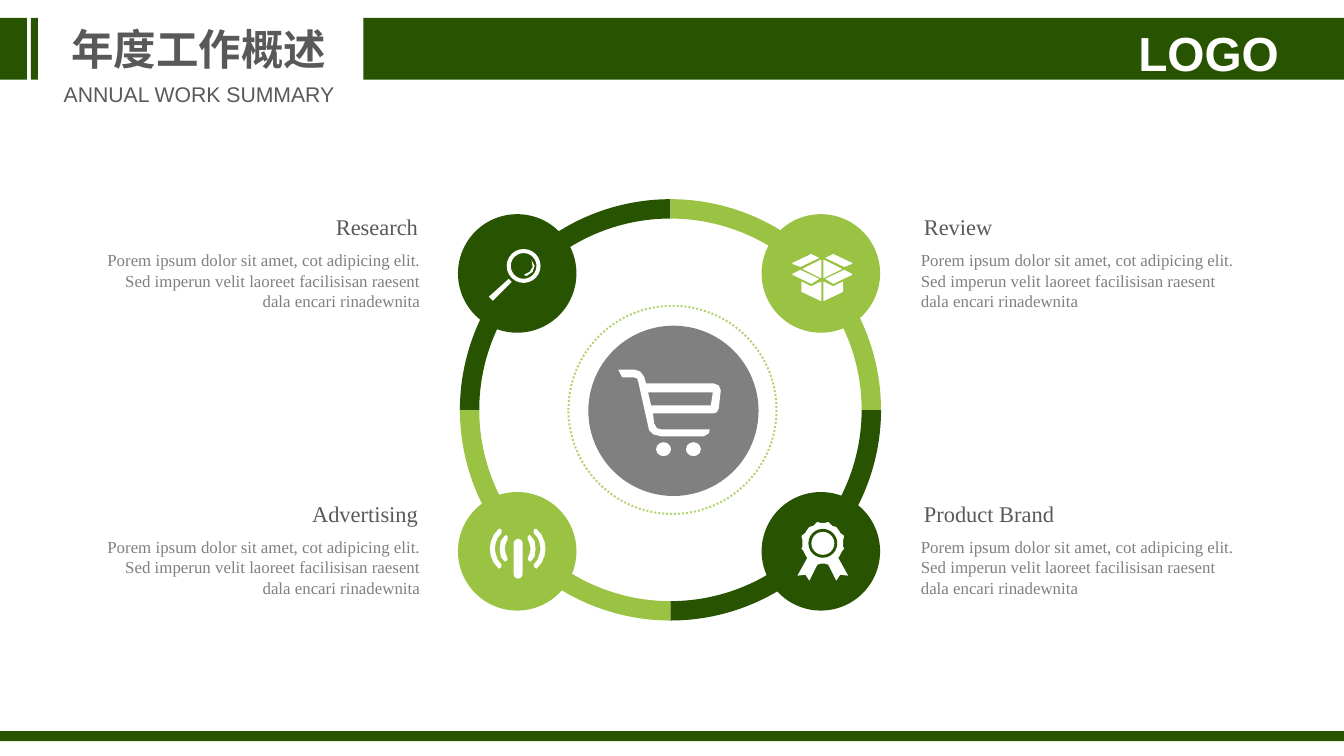
from lxml import etree
from pptx import Presentation
from pptx import util as u
from pptx.dml.color import RGBColor
from pptx.enum import dml, shapes, text

PX = 9525
SLIDE_W, SLIDE_H = 1350, 759
COLORS = {"dark": "285301", "light": "9AC343", "dots": "B3D272", "hub": "808080",
          "white": "FFFFFF", "heading": "595959", "body": "808080"}
LOREM = ("Porem ipsum dolor sit amet, cot adipicing elit. "
         "Sed imperun velit laoreet facilisisan raesent dala encari rinadewnita")
OVAL = shapes.MSO_SHAPE.OVAL
RECT = shapes.MSO_SHAPE.RECTANGLE
LEFT, CENTER, RIGHT = text.PP_ALIGN.LEFT, text.PP_ALIGN.CENTER, text.PP_ALIGN.RIGHT

CART = [
    [(0, 0), (16, 0), (22, 2), (26, 7), (28, 14), (96, 14), (101, 16), (103, 21),
     (101, 39), (99, 43), (95, 44), (35, 44), (36, 54), (39, 59), (43, 60), (92, 60),
     (91, 64), (86, 67), (43, 67), (35, 65), (31, 61), (20, 12), (19, 9), (16, 8), (4, 8)],
    [(30, 23), (95, 23), (93, 36), (33, 36)],
]
BOX_HALF = [
    [(10, 15), (28, 6), (29, 6), (29, 24), (28, 24)],
    [(19, 0), (0, 9), (0, 10), (8, 13), (27, 4)],
    [(27, 25), (8, 16), (0, 20), (0, 21), (19, 30)],
    [(9, 28), (10, 28), (18, 32), (20, 32), (28, 28), (29, 28), (29, 47), (28, 47), (9, 38)],
]
WAVE_HALF = [
    [(11, 0), (6, 6), (3, 13), (2, 20), (3, 27), (6, 34), (11, 40), (13, 39), (14, 36),
     (10, 31), (8, 25), (7, 20), (8, 14), (10, 9), (14, 4), (14, 2), (13, 0)],
    [(17, 7), (13, 12), (12, 20), (13, 28), (17, 33), (19, 32), (20, 30),
     (18, 25), (17, 20), (18, 15), (20, 10), (20, 8), (18, 6)],
]
RIBBON_HALF = [(23, 1), (20, 0), (18, 2), (16, 4), (12, 5), (9, 9), (8, 11), (4, 14), (5, 18),
               (5, 25), (4, 27), (6, 29), (9, 35), (10, 36), (0, 54), (8, 53), (12, 59),
               (20, 43), (23, 42)]
HANDLE = [(0, 18), (4, 22), (23, 3), (20, 0)]
GLINT = [(8, 0), (9, 7), (6, 12), (0, 15), (3, 16), (9, 12), (11, 6)]


def mirrored(outline, width):
    """Return the outline flipped left to right inside the width."""
    return [(width - x, y) for x, y in reversed(outline)]


def paint(shape, color):
    """Give a shape a plain fill with no line or shadow."""
    shape.shadow.inherit = False
    shape.fill.solid()
    shape.fill.fore_color.rgb = RGBColor.from_string(COLORS[color])
    shape.line.fill.background()
    return shape


def add_preset(slide, kind, box, color):
    """Add a painted preset shape in a px box."""
    return paint(slide.shapes.add_shape(kind, *(n * PX for n in box)), color)


def add_outline(slide, x, y, contours, color="white"):
    """Add one freeform made of closed contours measured from x, y."""
    builder = slide.shapes.build_freeform(*contours[0][0], scale=PX)
    builder.add_line_segments(contours[0][1:])
    for contour in contours[1:]:
        builder.move_to(*contour[0])
        builder.add_line_segments(contour[1:])
    return paint(builder.convert_to_shape(x * PX, y * PX), color)


def add_text(slide, box, words, size, color, align, font="Arial", bold=False,
             wrap=True, margins=(0, 0), anchor=text.MSO_ANCHOR.TOP):
    """Add a one-paragraph text box in a px box."""
    frame = slide.shapes.add_textbox(*(n * PX for n in box)).text_frame
    frame.word_wrap = wrap
    frame.vertical_anchor = anchor
    frame.margin_left = frame.margin_right = margins[0] * PX
    frame.margin_top = frame.margin_bottom = margins[1] * PX
    frame.text = words
    paragraph = frame.paragraphs[0]
    paragraph.alignment = align
    style = paragraph.runs[0].font
    style.name, style.size, style.bold = font, u.Pt(size), bold
    style.color.rgb = RGBColor.from_string(COLORS[color])


def add_magnifier(slide, x, y):
    """Draw the research icon in the node at x, y."""
    lens = add_preset(slide, shapes.MSO_SHAPE.DONUT, (x + 49, y + 35, 34, 34), "white")
    lens.adjustments[0] = 0.12
    add_outline(slide, x + 31, y + 65, [HANDLE])
    add_outline(slide, x + 66, y + 46, [GLINT])


def add_open_box(slide, x, y):
    """Draw the review icon in the node at x, y."""
    add_outline(slide, x + 31, y + 40, BOX_HALF + [mirrored(part, 60) for part in BOX_HALF])


def add_antenna(slide, x, y):
    """Draw the advertising icon in the node at x, y."""
    add_outline(slide, x + 30, y + 37, WAVE_HALF + [mirrored(wave, 60) for wave in WAVE_HALF])
    mast = add_preset(slide, shapes.MSO_SHAPE.ROUNDED_RECTANGLE, (x + 56, y + 47, 9, 40), "white")
    mast.adjustments[0] = 0.5


def add_badge(slide, x, y):
    """Draw the product brand icon in the node at x, y."""
    add_outline(slide, x + 36, y + 30, [RIBBON_HALF + mirrored(RIBBON_HALF, 51)])
    add_preset(slide, OVAL, (x + 47, y + 37, 29, 29), "dark")
    add_preset(slide, OVAL, (x + 50, y + 40, 23, 23), "white")


def add_hub(slide, x, y, size):
    """Draw the dotted circle with the cart disc inside."""
    add_preset(slide, OVAL, (x + 20, y + 20, size - 38, size - 38), "hub")
    dots = slide.shapes.add_shape(OVAL, *(n * PX for n in (x, y, size, size)))
    dots.shadow.inherit = False
    dots.fill.background()
    dots.line.color.rgb = RGBColor.from_string(COLORS["dots"])
    dots.line.width = u.Pt(1.5)
    dots.line.dash_style = dml.MSO_LINE.ROUND_DOT
    for wheel_x in (88, 118):
        add_preset(slide, OVAL, (x + wheel_x, y + 137, 15, 14), "white")
    add_outline(slide, x + 50, y + 64, CART)


def add_wheel(slide, x, y, size):
    """Draw the four-part ring with a node and icon on each quarter."""
    quarters = [("dark", 303, 294, add_badge), ("light", -2, 294, add_antenna),
                ("dark", -2, 15, add_magnifier), ("light", 303, 15, add_open_box)]
    for index, (color, *_) in enumerate(quarters):
        arc = add_preset(slide, shapes.MSO_SHAPE.BLOCK_ARC, (x, y, size, size), color)
        arc.adjustments[0] = 54 * index
        arc.adjustments[1] = 54 * (index + 1) % 216
        arc.adjustments[2] = 0.046
    for color, dx, dy, add_icon in quarters:
        add_preset(slide, OVAL, (x + dx, y + dy, 119, 119), color)
        add_icon(slide, x + dx, y + dy)


def add_topic(slide, x, y, width, heading, align):
    """Write a heading and its text, set against the side of the wheel."""
    heading_x, body_x = (x, x + 7) if align == LEFT else (x + width - 223, x)
    add_text(slide, (heading_x, y, 223, 29), heading, 16.9, "heading", align,
             "Times New Roman", margins=(10, 5), anchor=text.MSO_ANCHOR.MIDDLE)
    add_text(slide, (body_x, y + 38, 319, 61), LOREM, 12.7, "body", align, "Times New Roman")


def add_header(slide, x, y, width, height):
    """Draw the top bars, the titles and the logo word."""
    for left, bar_width in ((0, 27), (31, 7), (365, width - 365)):
        add_preset(slide, RECT, (x + left, y, bar_width, height), "dark")
    add_text(slide, (x + 61, y, 277, 61), "年度工作概述", 32, "heading", CENTER,
             bold=True, wrap=False, margins=(10, 5))
    add_text(slide, (x + 53, y + 59, 294, 36), "ANNUAL WORK SUMMARY", 16, "heading", CENTER,
             wrap=False, margins=(10, 5))
    add_text(slide, (x + 1114, y + 6, 200, 55), "LOGO", 36, "white", CENTER, bold=True)


def main():
    """Build the slide and save it."""
    deck = Presentation()
    deck.slide_width, deck.slide_height = SLIDE_W * PX, SLIDE_H * PX
    slide = deck.slides.add_slide(deck.slide_layouts[6])
    for row, (left_topic, right_topic) in enumerate(
            [("Research", "Review"), ("Advertising", "Product Brand")]):
        add_topic(slide, 103, 213 + 288 * row, 327, left_topic, RIGHT)
        add_topic(slide, 918, 213 + 288 * row, 327, right_topic, LEFT)
    add_hub(slide, 571, 307, 209)
    add_wheel(slide, 462, 200, 423)
    add_header(slide, 0, 18, SLIDE_W, 62)
    add_preset(slide, RECT, (0, 734, SLIDE_W, 10), "dark")
    deck.save("out.pptx")


if __name__ == "__main__":
    main()
